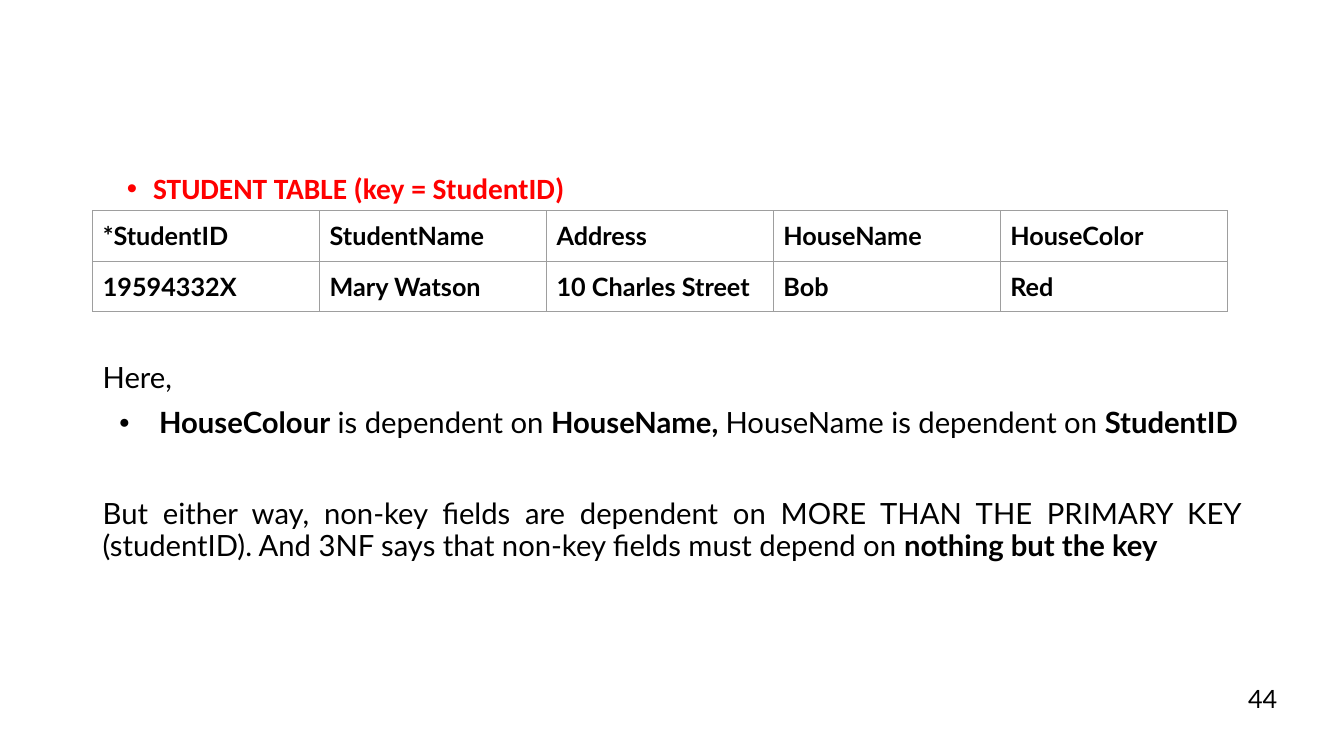
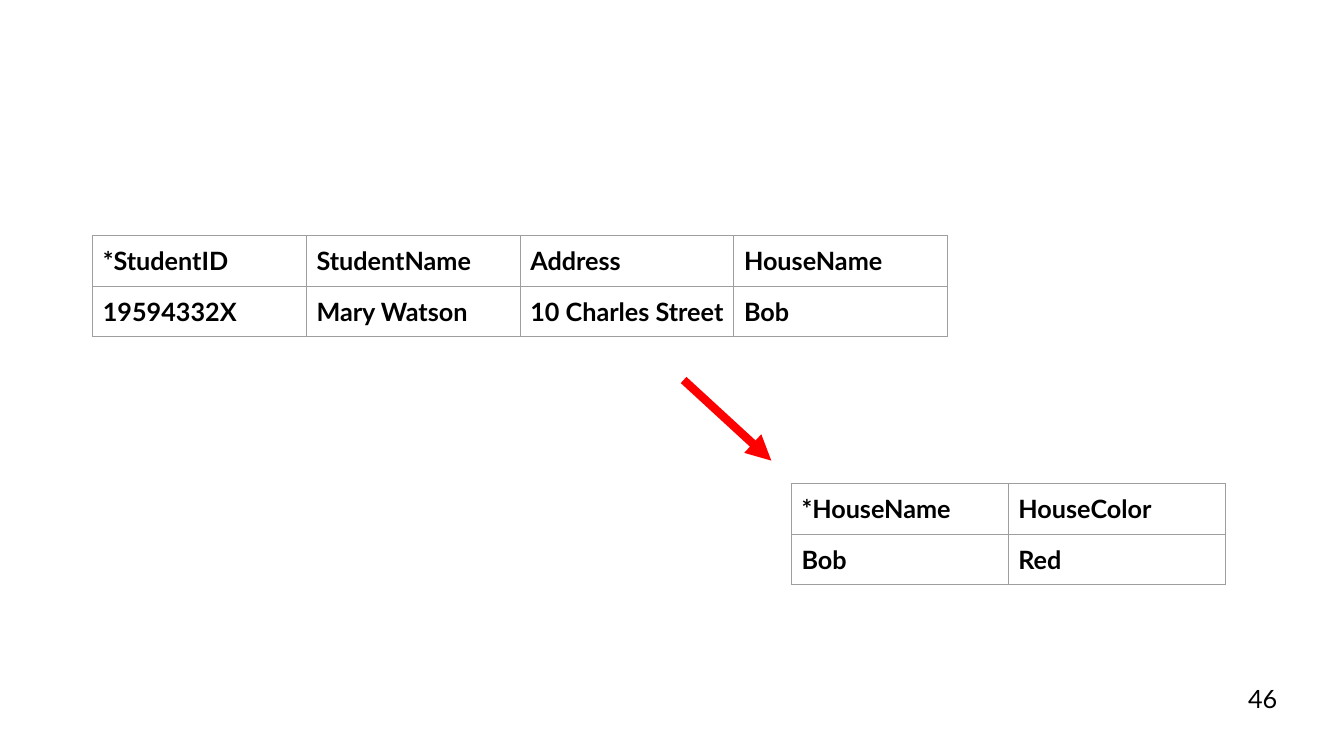
from lxml import etree
from pptx import Presentation
from pptx.dml.color import RGBColor
from pptx.enum.shapes import MSO_CONNECTOR
from pptx.enum.text import PP_ALIGN
from pptx.oxml.ns import qn
from pptx.util import Inches, Pt

STRAIGHT = MSO_CONNECTOR.STRAIGHT
LEFT_ALIGN, JUSTIFY = PP_ALIGN.LEFT, PP_ALIGN.JUSTIFY
BLANK_LAYOUT = 6
rgb = RGBColor.from_string

WIDTH, HEIGHT = 13.33, 7.5
MARGIN = 0.92
ROW_HEIGHT = 0.5
INSET = 0.1
FONT = "Lato"
BLACK, RED, GREY = "000000", "FF0000", "9E9E9E"
BORDER_WIDTH = Pt(0.75)


def add_text(slide, area, paragraphs, size, font=FONT, color=BLACK,
             align=LEFT_ALIGN, spacing=1.0, inset_y=0.05):
    """Each paragraph is (runs, space before, bullet); a run is (text, bold)
    and a bullet is None or (character, size percent, indent, hanging)."""
    box = slide.shapes.add_textbox(*(Inches(length) for length in area))
    frame = box.text_frame
    frame.word_wrap = True
    frame.margin_left = frame.margin_right = Inches(INSET)
    frame.margin_top = frame.margin_bottom = Inches(inset_y)
    for index, (runs, space_before, bullet) in enumerate(paragraphs):
        para = frame.add_paragraph() if index else frame.paragraphs[0]
        if bullet:
            character, percent, indent, hanging = bullet
            properties = para._p.get_or_add_pPr()
            properties.set("marL", str(Inches(indent)))
            properties.set("indent", str(-Inches(hanging)))
            bullet_color = etree.SubElement(properties, qn("a:buClr"))
            etree.SubElement(bullet_color, qn("a:srgbClr"), val=color)
            etree.SubElement(properties, qn("a:buSzPct"), val=str(percent * 1000))
            etree.SubElement(properties, qn("a:buFont"), typeface="Arial")
            etree.SubElement(properties, qn("a:buChar"), char=character)
        para.alignment = align
        para.line_spacing = spacing
        para.space_before = Pt(space_before)
        for text, bold in runs:
            span = para.add_run()
            span.text = text
            span.font.name = font
            span.font.size = Pt(size)
            span.font.bold = bold
            span.font.color.rgb = rgb(color)


def add_record_table(slide, left, top, column_width, rows):
    columns = len(rows[0])
    table = slide.shapes.add_table(
        len(rows), columns, Inches(left), Inches(top),
        Inches(column_width * columns), Inches(ROW_HEIGHT * len(rows))).table
    table.first_row = table.horz_banding = False
    for column in table.columns:
        column.width = Inches(column_width)
    for row_index, values in enumerate(rows):
        for column_index, value in enumerate(values):
            cell = table.cell(row_index, column_index)
            cell.margin_left = cell.margin_right = Inches(INSET)
            cell.margin_top = cell.margin_bottom = Inches(INSET)
            cell.text_frame.text = value
            font = cell.text_frame.paragraphs[0].runs[0].font
            font.name, font.size, font.bold = FONT, Pt(18), True
            font.color.rgb = rgb(BLACK)
            properties = cell._tc.get_or_add_tcPr()
            for side in ("lnL", "lnR", "lnT", "lnB"):
                border = etree.SubElement(properties, qn(f"a:{side}"), w=str(BORDER_WIDTH))
                fill = etree.SubElement(border, qn("a:solidFill"))
                etree.SubElement(fill, qn("a:srgbClr"), val=GREY)
            cell.fill.background()


deck = Presentation()
deck.slide_width, deck.slide_height = Inches(WIDTH), Inches(HEIGHT)
pages = []
for number in ("44", "46"):
    page = deck.slides.add_slide(deck.slide_layouts[BLANK_LAYOUT])
    add_text(page, (WIDTH - 1.05, 6.73, 1.05, 0.4), [([(number, False)], 0, None)], 18)
    pages.append(page)
dependency_page, split_page = pages

student_header = ["*StudentID", "StudentName", "Address", "HouseName"]
student_record = ["19594332X", "Mary Watson", "10 Charles Street", "Bob"]

# Dependencies in the single student table
add_text(dependency_page, (MARGIN, 1.54, 6.32, 0.56),
         [([("STUDENT TABLE (key = StudentID)", True)], 0, ("•", 100, 0.5, 0.26))],
         21, font="Calibri", color=RED, spacing=1.15, inset_y=INSET)
add_record_table(dependency_page, MARGIN, 2.09, 2.25,
                 [student_header + ["HouseColor"], student_record + ["Red"]])
explanation = [
    ([("Here,", False)], 0, None),
    ([("HouseColour", True), (" is dependent on ", False), ("HouseName, ", True),
      ("HouseName is dependent on ", False), ("StudentID", True)],
     10, ("●", 63, 0.56, 0.4)),
    ([("But either way, non-key fields are dependent on MORE THAN THE PRIMARY KEY "
       "(studentID). And 3NF says that non-key fields must depend on ", False),
      ("nothing but the key", True)], 42.6, None),
]
add_text(dependency_page, (MARGIN, 3.55, WIDTH - 2 * MARGIN, 3.2), explanation,
         20.9, align=JUSTIFY, spacing=0.9)

# House colour moved to its own table
add_record_table(split_page, MARGIN, 2.34, 2.12, [student_header, student_record])
add_record_table(split_page, 7.85, 4.8, 2.15,
                 [["*HouseName", "HouseColor"], ["Bob", "Red"]])
arrow = split_page.shapes.add_connector(
    STRAIGHT, Inches(6.78), Inches(3.77), Inches(7.65), Inches(4.57))
arrow.line.color.rgb = rgb(RED)
arrow.line.width = Pt(6)
etree.SubElement(arrow.line._get_or_add_ln(), qn("a:tailEnd"), type="triangle")
etree.SubElement(arrow._element.spPr, qn("a:effectLst"))

deck.save("out.pptx")
